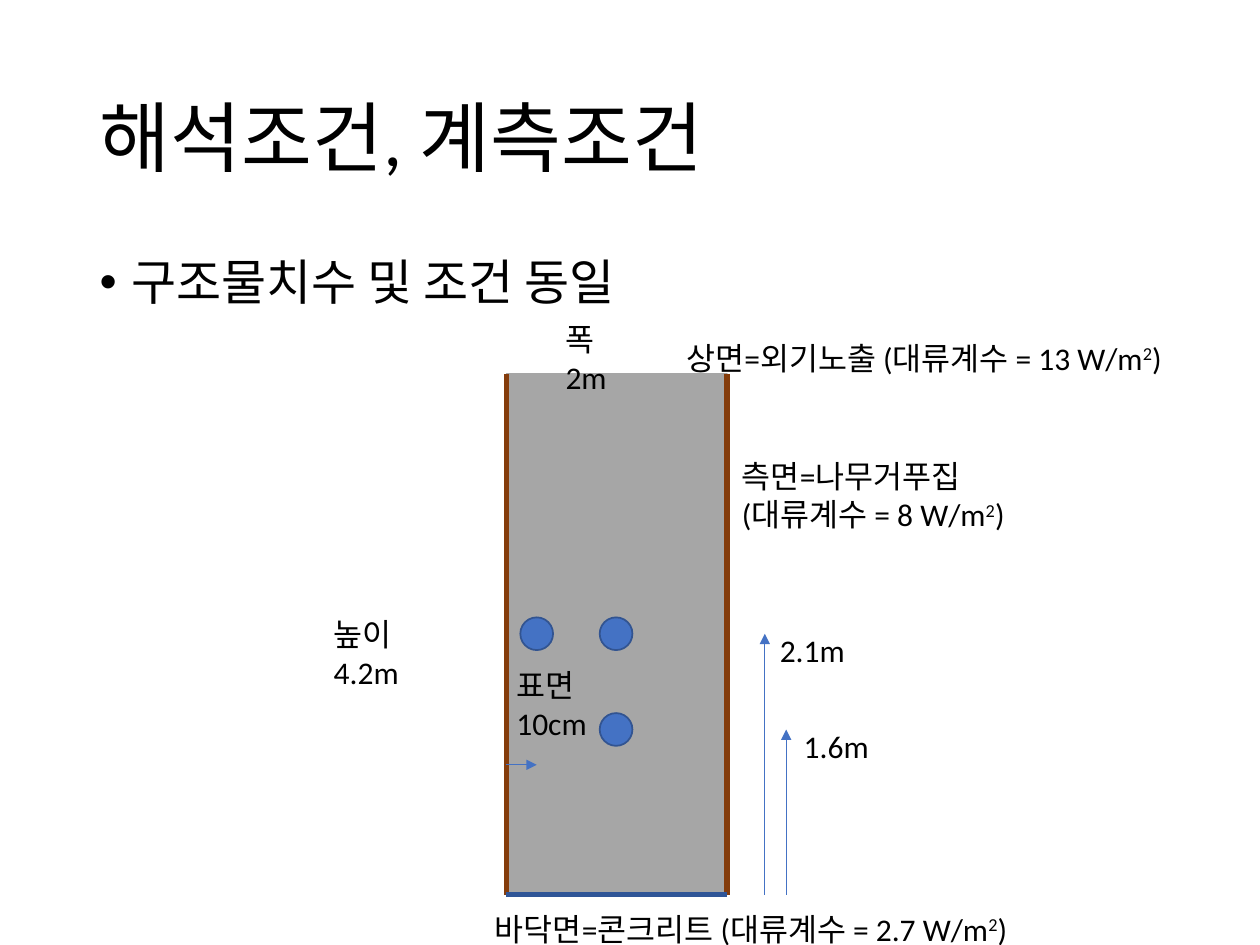
from lxml import etree
from pptx import Presentation
from pptx.dml.color import RGBColor
from pptx.enum.shapes import MSO_CONNECTOR, MSO_SHAPE
from pptx.enum.text import MSO_ANCHOR, MSO_AUTO_SIZE, PP_ALIGN
from pptx.oxml.ns import qn
from pptx.util import Inches, Pt

RECT, OVAL, STRAIGHT = MSO_SHAPE.RECTANGLE, MSO_SHAPE.OVAL, MSO_CONNECTOR.STRAIGHT
LEFT, TOP, MIDDLE = PP_ALIGN.LEFT, MSO_ANCHOR.TOP, MSO_ANCHOR.MIDDLE
NO_FIT = MSO_AUTO_SIZE.NONE

CONCRETE, WOOD, BASE = "A6A6A6", "843C0B", "2F5597"
BLUE, BLUE_EDGE, BLACK = "4472C4", "325491", "000000"


def color(value):
    return RGBColor.from_string(value)


def write(frame, text, size=18, font="Calibri", ink=BLACK, spacing=1.0,
          before=0, anchor=TOP):
    """Fill a frame; newline starts a paragraph, ^ raises the next character."""
    frame.word_wrap = True
    frame.auto_size = NO_FIT
    frame.vertical_anchor = anchor
    for i, line in enumerate(text.split("\n")):
        par = frame.add_paragraph() if i else frame.paragraphs[0]
        par.alignment = LEFT
        par.line_spacing = spacing
        par.space_before = Pt(before)
        plain, *raised = line.split("^")
        pieces = [(plain, False)]
        for part in raised:
            pieces += [(part[0], True), (part[1:], False)]
        for j, (piece, is_raised) in enumerate(pieces):
            for k, row in enumerate(piece.split("\v")):
                if k:
                    par.add_line_break()
                run = par.add_run()
                run.text = row
                run.font.size = Pt(size)
                run.font.name = font
                run.font.color.rgb = color(ink)
                if is_raised:
                    run.font._element.set("baseline", "30000")


class Board:
    def __init__(self, slide):
        self.slide = slide
        self.shapes = slide.shapes

    def placeholder(self, index, box, text, **style):
        holder = self.slide.placeholders[index]
        holder.left, holder.top, holder.width, holder.height = map(Inches, box)
        write(holder.text_frame, text, spacing=0.9, **style)
        return holder

    def label(self, x, y, w, h, text):
        box = self.shapes.add_textbox(Inches(x), Inches(y), Inches(w), Inches(h))
        write(box.text_frame, text)

    def shape(self, kind, x, y, w, h, fill, edge):
        item = self.shapes.add_shape(kind, Inches(x), Inches(y), Inches(w), Inches(h))
        item.shadow.inherit = False
        item.fill.solid()
        item.fill.fore_color.rgb = color(fill)
        item.line.color.rgb = color(edge)
        item.line.width = Pt(1)

    def line(self, x1, y1, x2, y2, ink, width, arrow=False):
        link = self.shapes.add_connector(
            STRAIGHT, Inches(x1), Inches(y1), Inches(x2), Inches(y2))
        link.line.color.rgb = color(ink)
        link.line.width = Pt(width)
        if arrow:
            etree.SubElement(link.line._get_or_add_ln(), qn("a:tailEnd"), type="triangle")
        etree.SubElement(link._element.spPr, qn("a:effectLst"))


prs = Presentation()
prs.slide_width, prs.slide_height = Inches(10), Inches(7.5)
board = Board(prs.slides.add_slide(prs.slide_layouts[1]))

# Title and bullet
board.placeholder(0, (0.69, 0.4, 8.62, 1.45), "해석조건, 계측조건", size=44, anchor=MIDDLE)
conditions = board.placeholder(1, (0.69, 2, 8.62, 1.93), "구조물치수 및 조건 동일",
                               size=28, before=10)
bullet = conditions.text_frame.paragraphs[0]._p.get_or_add_pPr()
bullet.set("marL", str(Inches(0.25)))
bullet.set("indent", str(-Inches(0.25)))
etree.SubElement(bullet, qn("a:buFont"), typeface="Arial")
etree.SubElement(bullet, qn("a:buChar"), char="•")

# Concrete block with wooden sides and a concrete base
left, top, right, bottom = 4.02, 2.97, 5.77, 7.1
board.shape(RECT, left, top, right - left, bottom - top, CONCRETE, CONCRETE)
for side in (right, left):
    board.line(side, top, side, bottom, WOOD, 3)
board.line(right, bottom, left, bottom, BASE, 3)

# Measuring points
upper, lower = 5.03, 5.79
center, surface = 4.89, 4.26
dot = 0.26
for x, y in ((center, upper), (surface, upper), (center, lower)):
    board.shape(OVAL, x - dot / 2, y - dot / 2, dot, dot, BLUE, BLUE_EDGE)

# Distance arrows
for x, level in ((6.07, upper), (6.24, lower)):
    board.line(x, bottom, x, level, BLUE, 0.5, arrow=True)
board.line(left, 6.07, surface, 6.07, BLUE, 0.5, arrow=True)

# Dimensions and boundary conditions
for label in (
    (4.39, 2.49, 0.84, 0.4, "폭\v2m"),
    (2.55, 4.83, 1.29, 0.4, "높이\v4.2m"),
    (4, 5.24, 0.8, 0.71, "표면\n10cm"),
    (6.09, 4.96, 0.75, 0.4, "2.1m"),
    (6.28, 5.72, 0.75, 0.4, "1.6m"),
    (3.83, 7.17, 4.86, 0.4, "바닥면=콘크리트 (대류계수 = 2.7 W/m^2)"),
    (5.79, 3.58, 2.53, 0.71, "측면=나무거푸집\n(대류계수 = 8 W/m^2)"),
    (5.35, 2.64, 4.4, 0.4, "상면=외기노출 (대류계수 = 13 W/m^2)"),
):
    board.label(*label)

prs.save("out.pptx")
